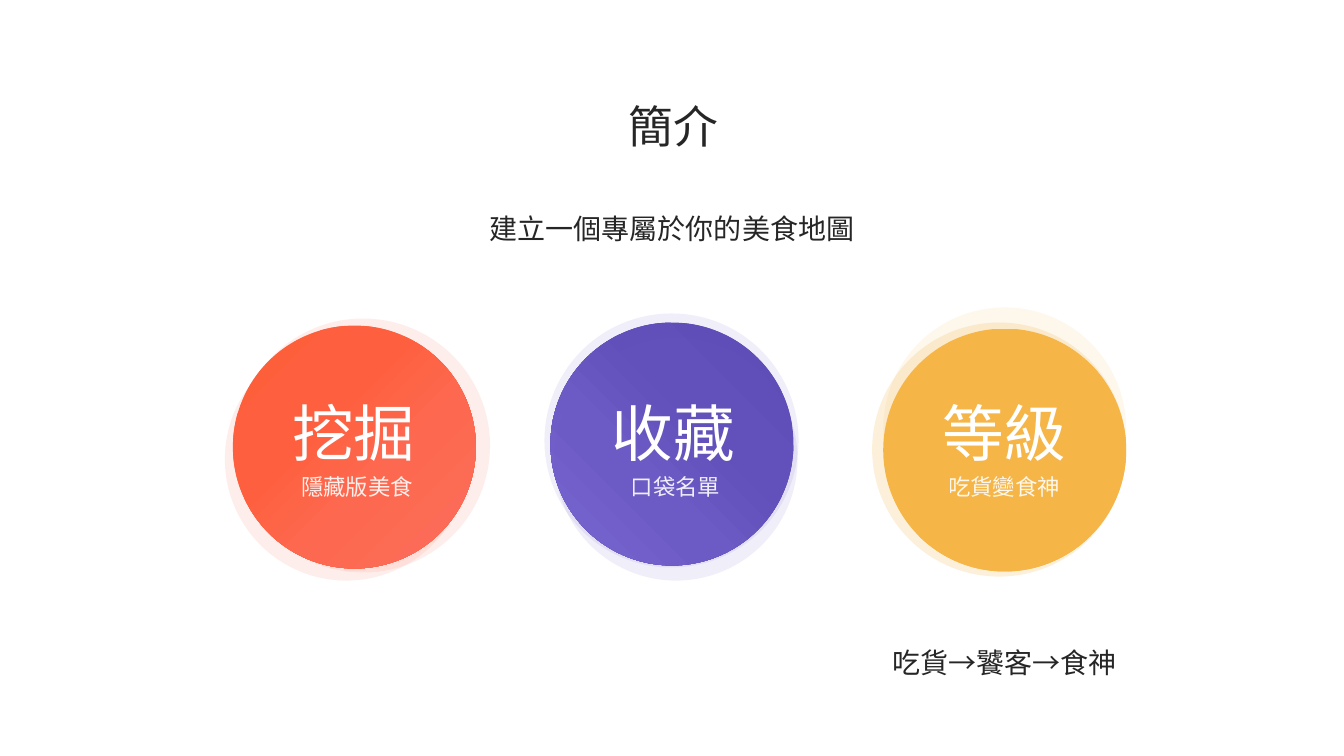
from lxml import etree
from pptx import Presentation
from pptx.dml.color import RGBColor
from pptx.enum.shapes import MSO_SHAPE
from pptx.enum.text import MSO_ANCHOR, MSO_AUTO_SIZE, PP_ALIGN
from pptx.oxml.ns import qn
from pptx.util import Inches, Pt

OVAL = MSO_SHAPE.OVAL
TOP = MSO_ANCHOR.TOP
GROW = MSO_AUTO_SIZE.SHAPE_TO_FIT_TEXT
CENTER = PP_ALIGN.CENTER

FONT = "Noto Sans CJK SC"
COLORS = {"ink": "262626", "white": "FFFFFF",
          "red": "FE5F3B", "purple": "6D5BC5", "yellow": "F5B547"}
DISC, HALO = 2.41, 2.52


class SlideBuilder:
    """Holds the text style and the page being drawn."""

    def __init__(self, page):
        self.page = page

    def set_alpha(self, fill_parent, percent):
        color = next(fill_parent.iter(qn("a:srgbClr")))
        etree.SubElement(color, qn("a:alpha"), val=str(percent * 1000))

    def circle(self, left, top, size):
        shape = self.page.shapes.add_shape(
            OVAL, Inches(left), Inches(top), Inches(size), Inches(size))
        shape.shadow.inherit = False
        shape.line.fill.background()
        return shape

    def halo(self, left, top, size, color, alpha):
        shape = self.circle(left, top, size)
        shape.fill.solid()
        shape.fill.fore_color.rgb = RGBColor.from_string(COLORS[color])
        self.set_alpha(shape.element.spPr, alpha)

    def disc(self, left, top, stops, focus):
        """Draw a disc with a radial gradient starting at the focus corner."""
        shape = self.circle(left, top, DISC)
        shape.fill.gradient()
        gradient = shape.element.spPr.find(qn("a:gradFill"))
        for child in list(gradient):
            gradient.remove(child)
        stop_list = etree.SubElement(gradient, qn("a:gsLst"))
        for position, color in stops:
            stop = etree.SubElement(stop_list, qn("a:gs"), pos=str(position * 1000))
            etree.SubElement(stop, qn("a:srgbClr"), val=color)
        shade = etree.SubElement(gradient, qn("a:path"))
        shade.set("path", "circle")
        sides = {side: str(value * 1000) for side, value in zip("ltrb", focus)}
        etree.SubElement(shade, qn("a:fillToRect"), **sides)

    def fill_text(self, box, text, size, color="ink", wrap=False, spacing=1.0,
                  alpha=None):
        frame = box.text_frame
        frame_format = {"word_wrap": wrap, "auto_size": GROW, "vertical_anchor": TOP}
        for name, value in frame_format.items():
            setattr(frame, name, value)
        para = frame.paragraphs[0]
        para.alignment, para.line_spacing = CENTER, spacing
        span = para.add_run()
        span.text = text
        for name, value in {"name": FONT, "size": Pt(size), "bold": False}.items():
            setattr(span.font, name, value)
        span.font.color.rgb = RGBColor.from_string(COLORS[color])
        properties = span.font._element
        etree.SubElement(properties, qn("a:ea"), typeface=FONT)
        if alpha:
            self.set_alpha(properties, alpha)

    def text(self, left, top, width, height, text, size, **style):
        box = self.page.shapes.add_textbox(
            Inches(left), Inches(top), Inches(width), Inches(height))
        self.fill_text(box, text, size, **style)

    def title(self, left, top, width, height, text, size):
        box = self.page.shapes.title
        place = {"left": left, "top": top, "width": width, "height": height}
        for name, value in place.items():
            setattr(box, name, Inches(value))
        self.fill_text(box, text, size)


def main():
    deck = Presentation()
    deck.slide_width, deck.slide_height = Inches(13.33), Inches(7.5)
    builder = SlideBuilder(deck.slides.add_slide(deck.slide_layouts[5]))

    # Heading
    builder.title(6.13, 0.93, 1.1, 0.64, "簡介", 32)

    # Discs and their pale halos, back to front
    for halo in [(8.76, 3.05, DISC, "yellow", 10), (8.65, 3.2, HALO, "yellow", 20),
                 (2.34, 3.16, HALO, "red", 10), (2.23, 3.35, DISC, "red", 10)]:
        builder.halo(*halo)
    builder.disc(2.31, 3.23, [(0, "FB6D5B"), (38, "FD6950"), (62, "FE603F"),
                              (100, "FE5F3B")], (100, 100, 0, 0))
    builder.disc(5.46, 3.2, [(0, "7D6AD4"), (38, "6D5BC5"), (62, "604EB9"),
                             (100, "5C49B4")], (0, 100, 100, 0))
    builder.halo(5.5, 3.35, DISC, "purple", 10)
    builder.halo(5.4, 3.11, HALO, "purple", 10)
    builder.disc(8.76, 3.26, [(0, "F5B647"), (50, "F5B547"), (100, "F5B547")],
                 (100, 100, 0, 0))

    # Disc labels
    for left, word, note_left, note_width, note in [
            (2.79, "挖掘", 2.88, 1.32, "隱藏版美食"),
            (5.96, "收藏", 6.15, 1.1, "口袋名單"),
            (9.24, "等級", 9.3, 1.32, "吃貨變食神")]:
        builder.text(left, 3.87, 1.44, 0.84, word, 44, color="white")
        builder.text(note_left, 4.64, note_width, 0.37, note, 16,
                     color="white", alpha=90)

    # Tagline and level path
    for left, top, line in [(3.33, 1.88, "建立一個專屬於你的美食地圖"),
                            (6.63, 6.19, "吃貨→饕客→食神")]:
        builder.text(left, top, 6.67, 0.54, line, 20, wrap=True, spacing=1.5)

    deck.save("out.pptx")


if __name__ == "__main__":
    main()
